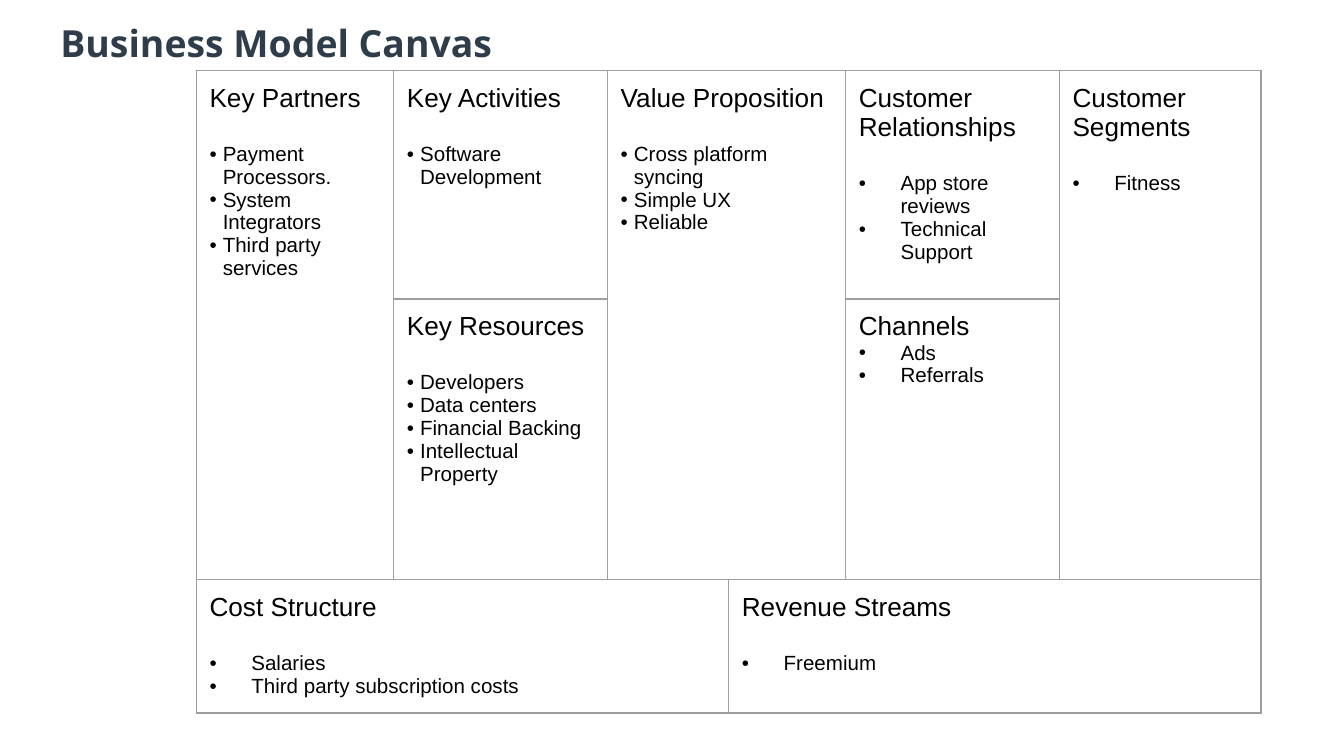
from pptx import Presentation
from pptx.dml.color import RGBColor as Rgb
from pptx.enum.text import MSO_ANCHOR as Anchor, MSO_AUTO_SIZE as Fit, PP_ALIGN as Align
from pptx.oxml.ns import qn
from pptx.util import Cm, Pt
from lxml.etree import SubElement as Sub

COLS = [3.73, 4.04, 2.29, 2.21, 4.04, 3.81]
ROWS = [4.32, 5.31, 2.52]
TIGHT, WIDE = 0.25, 0.79
GAP = 16

BLOCKS = [
    (0, 0, 1, 0, "Key Partners", GAP, TIGHT,
     ["Payment Processors.", "System Integrators", "Third party services"]),
    (0, 1, 0, 1, "Key Activities", GAP, TIGHT, ["Software Development"]),
    (0, 2, 1, 3, "Value Proposition", GAP, TIGHT,
     ["Cross platform syncing", "Simple UX", "Reliable"]),
    (0, 4, 0, 4, "Customer Relationships", GAP, WIDE,
     ["App store reviews", "Technical Support"]),
    (0, 5, 1, 5, "Customer Segments", GAP, WIDE, ["Fitness"]),
    (1, 1, 1, 1, "Key Resources", GAP, TIGHT,
     ["Developers", "Data centers", "Financial Backing", "Intellectual Property"]),
    (1, 4, 1, 4, "Channels", 0, WIDE, ["Ads", "Referrals"]),
    (2, 0, 2, 2, "Cost Structure", GAP, WIDE,
     ["Salaries", "Third party subscription costs"]),
    (2, 3, 2, 5, "Revenue Streams", GAP, WIDE, ["Freemium"]),
]


class Canvas:
    hues = {"title": "2E3D49", "text": "000000", "line": "9E9E9E"}
    pad = Cm(0.25)

    def __init__(self, deck):
        self.slide = deck.slides.add_slide(deck.slide_layouts[5])

    def inset(self, box):
        box.margin_left = box.margin_right = self.pad
        box.margin_top = box.margin_bottom = self.pad

    def label(self, para, text, size, hue="text", face="Arial", bold=False):
        run = para.add_run()
        run.text = text
        font = run.font
        font.name, font.size, font.bold = face, Pt(size), bold
        font.color.rgb = Rgb.from_string(self.hues[hue])

    def title(self, text):
        shape = self.slide.shapes.title
        shape.left, shape.top = Cm(0.89), Cm(0)
        shape.width, shape.height = Cm(22.05), Cm(1.6)
        frame = shape.text_frame
        frame.auto_size = Fit.NONE
        frame.vertical_anchor = Anchor.MIDDLE
        self.inset(frame)
        para = frame.paragraphs[0]
        para.alignment = Align.LEFT
        self.label(para, text, 20, "title", "Open Sans", True)

    def grid(self, left, top, cols, rows):
        frame = self.slide.shapes.add_table(
            len(rows), len(cols), Cm(left), Cm(top), Cm(sum(cols)), Cm(sum(rows)))
        table = frame.table
        table.first_row = table.horz_banding = False
        for col, width in zip(table.columns, cols):
            col.width = Cm(width)
        for row, height in zip(table.rows, rows):
            row.height = Cm(height)
        for cell in table.iter_cells():
            self.inset(cell)
            self.border(cell)
            cell.fill.background()
        return table

    def border(self, cell):
        props = cell._tc.get_or_add_tcPr()
        for side in ("lnL", "lnR", "lnT", "lnB"):
            line = Sub(props, qn(f"a:{side}"), w=str(Pt(0.75)))
            fill = Sub(line, qn("a:solidFill"))
            Sub(fill, qn("a:srgbClr"), val=self.hues["line"])

    def bullet(self, para, indent):
        props = para._p.get_or_add_pPr()
        props.set("marL", str(Cm(indent)))
        props.set("indent", str(-Cm(indent)))
        tint = Sub(props, qn("a:buClr"))
        Sub(tint, qn("a:srgbClr"), val=self.hues["text"])
        Sub(props, qn("a:buFont"), typeface="Arial")
        Sub(props, qn("a:buChar"), char="•")

    def block(self, cell, head, gap, indent, items):
        frame = cell.text_frame
        para = frame.paragraphs[0]
        para.space_after = Pt(gap)
        self.label(para, head, 14)
        for item in items:
            para = frame.add_paragraph()
            self.bullet(para, indent)
            self.label(para, item, 11)


def main():
    deck = Presentation()
    deck.slide_width, deck.slide_height = Cm(25.4), Cm(14.29)
    canvas = Canvas(deck)
    canvas.title("Business Model Canvas")
    table = canvas.grid(3.71, 1.33, COLS, ROWS)
    for top, left, low, right, *words in BLOCKS:
        cell = table.cell(top, left)
        if (top, left) != (low, right):
            cell.merge(table.cell(low, right))
        canvas.block(cell, *words)
    deck.save("out.pptx")


if __name__ == "__main__":
    main()
